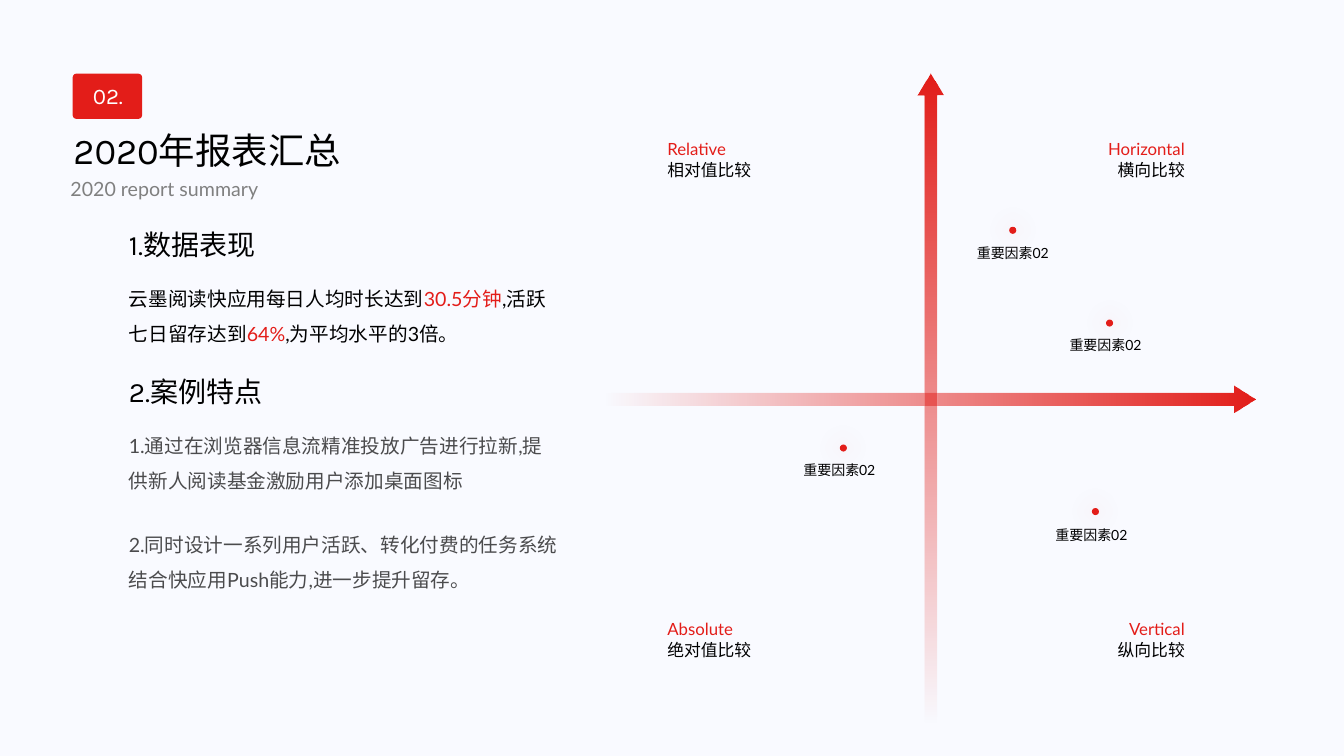
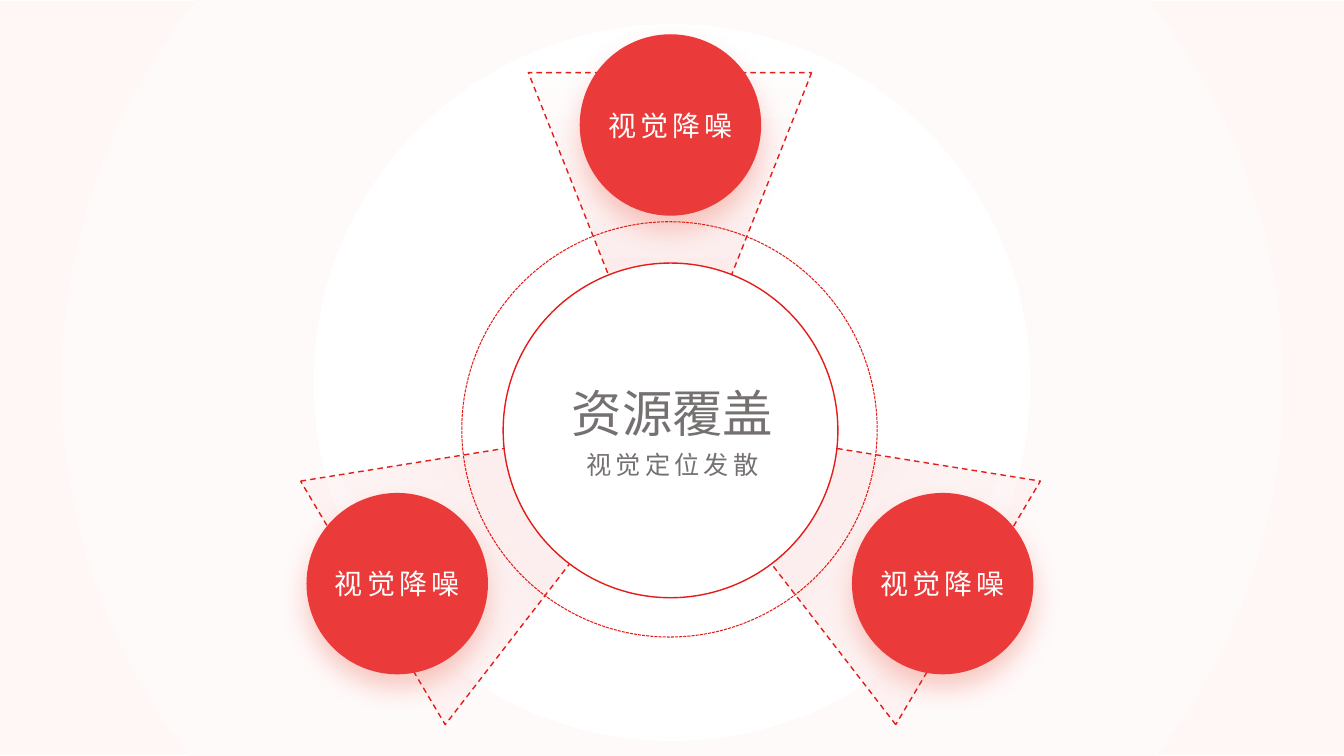
from math import asin, cos, pi, sin

from pptx import Presentation
from pptx.dml.color import RGBColor
from pptx.enum.dml import MSO_LINE
from pptx.enum.shapes import MSO_SHAPE
from pptx.enum.text import MSO_ANCHOR, MSO_AUTO_SIZE, PP_ALIGN
from pptx.oxml import parse_xml
from pptx.oxml.ns import nsdecls, qn
from pptx.util import Inches, Pt

RED = RGBColor(0xE3, 0x1D, 0x19)
CIRCLE_RED = RGBColor(0xEA, 0x3A, 0x3A)
SHADOW_RED = RGBColor(0xE5, 0x3B, 0x21)
PALE = RGBColor(0xF9, 0xFA, 0xFF)
PINK = RGBColor(0xFF, 0xF6, 0xF6)
LIGHT_PINK = RGBColor(0xFF, 0xFA, 0xFA)
WHITE = RGBColor(0xFF, 0xFF, 0xFF)
BLACK = RGBColor(0x00, 0x00, 0x00)
DARK_GRAY = RGBColor(0x4B, 0x4B, 0x4D)
GRAY = RGBColor(0x80, 0x80, 0x80)
WARM_GRAY = RGBColor(0x76, 0x71, 0x71)

HEAD_FONT, BODY_FONT = "Karla", "Lato"
LEFT, CENTER, RIGHT = PP_ALIGN.LEFT, PP_ALIGN.CENTER, PP_ALIGN.RIGHT
SLIDE_W, SLIDE_H = 13.33, 7.5

# place, text, size, font, colour, alignment
HEADINGS = [
    ((0.78, 0.77, 0.58, 0.37), "02.", 16, HEAD_FONT, WHITE, CENTER),
    ((0.63, 1.22, 3.01, 0.54), "2020年报表汇总", 26, HEAD_FONT, BLACK, LEFT),
    ((0.6, 1.71, 2.25, 0.34), "2020 report summary", 14, BODY_FONT, GRAY, LEFT),
    ((1.18, 2.21, 1.55, 0.44), "1.数据表现", 20, HEAD_FONT, BLACK, LEFT),
    ((1.18, 3.67, 1.6, 0.44), "2.案例特点", 20, HEAD_FONT, BLACK, LEFT),
]
# top, width, runs
BODY_TEXTS = [
    (2.68, 4.35, [("云墨阅读快应用每日人均时长达到", BLACK), ("30.5分钟", RED),
                  (",活跃七日留存达到", BLACK), ("64%", RED),
                  (",为平均水平的3倍。", BLACK)]),
    (4.14, 4.47, [("1.通过在浏览器信息流精准投放广告进行拉新,"
                   "提供新人阅读基金激励用户添加桌面图标", DARK_GRAY)]),
    (5.12, 4.47, [("2.同时设计一系列用户活跃、转化付费的任务系统"
                   "结合快应用Push能力,进一步提升留存。", DARK_GRAY)]),
]
# left, top, English, Chinese, alignment
QUADRANTS = [
    (6.52, 1.33, "Relative", "相对值比较", LEFT),
    (10.54, 1.33, "Horizontal", "横向比较", RIGHT),
    (6.52, 6.09, "Absolute", "绝对值比较", LEFT),
    (10.54, 6.09, "Vertical", "纵向比较", RIGHT),
]
LABEL_W = 1.31
FACTOR = "重要因素02"
# left and top of the dot, left and top of its label
FACTORS = [
    ((10.01, 2.25), (9.39, 2.38)),
    ((10.97, 3.17), (10.31, 3.29)),
    ((8.33, 4.41), (7.67, 4.53)),
    ((10.83, 5.04), (10.17, 5.17)),
]
# left and top of the triangle, its rotation, left and top of the circle
SPOKE_LABEL = "视觉降噪"
SPOKES = [
    ((6.67, 3.3), 300.7, (8.45, 4.89)),
    ((3.82, 3.3), 59.3, (3.04, 4.89)),
    ((5.24, 0.72), 180, (5.75, 0.34)),
]


def new_page(deck, color):
    page = deck.slides.add_slide(deck.slide_layouts[6])
    page.background.fill.solid()
    page.background.fill.fore_color.rgb = color
    return page


def add_runs(para, runs, size, font, spacing=0):
    for text, color in runs:
        span = para.add_run()
        span.text = text
        span.font.size = Pt(size)
        span.font.name = font
        span.font.color.rgb = color
        properties = span.font._element
        properties.append(parse_xml(f'<a:ea {nsdecls("a")} typeface="{font}"/>'))
        if spacing:
            properties.set("spc", str(spacing * 100))


def add_text(page, place, runs, size, font=BODY_FONT, align=LEFT, wrap=True,
             line_spacing=None, spacing=0):
    box = page.shapes.add_textbox(*map(Inches, place))
    frame = box.text_frame
    frame.word_wrap = wrap
    frame.auto_size = MSO_AUTO_SIZE.SHAPE_TO_FIT_TEXT
    para = frame.paragraphs[0]
    para.alignment = align
    if line_spacing:
        para.line_spacing = line_spacing
    add_runs(para, runs, size, font, spacing)


def style(shape, fill=None, line=None, width=1, dash=None):
    shape.shadow.inherit = False
    if fill is not None:
        shape.fill.solid()
        shape.fill.fore_color.rgb = fill
    if line is None:
        shape.line.fill.background()
    else:
        shape.line.color.rgb = line
        shape.line.width = Pt(width)
        if dash:
            shape.line.dash_style = dash
    return shape


def add_preset(page, kind, place, **look):
    return style(page.shapes.add_shape(kind, *map(Inches, place)), **look)


def add_outline(page, points, **look):
    start, *rest = [(Inches(x), Inches(y)) for x, y in points]
    builder = page.shapes.build_freeform(*start)
    builder.add_line_segments(rest, close=True)
    return style(builder.convert_to_shape(), **look)


def fade(shape, stops, angle):
    """Fill with red at (position, opacity) stops, both in percent."""
    shape.fill.gradient()
    stop_xml = "".join(
        f'<a:gs pos="{position * 1000}"><a:srgbClr val="{RED}">'
        f'<a:alpha val="{opacity * 1000}"/></a:srgbClr></a:gs>'
        for position, opacity in stops)
    properties = shape._element.spPr
    properties.replace(properties.find(qn("a:gradFill")), parse_xml(
        f'<a:gradFill {nsdecls("a")} rotWithShape="1"><a:gsLst>{stop_xml}</a:gsLst>'
        f'<a:lin ang="{angle * 60000}" scaled="0"/></a:gradFill>'))


def add_glow(shape, color, opacity, blur, distance, angle):
    effects = shape._element.spPr.find(qn("a:effectLst"))
    effects.append(parse_xml(
        f'<a:outerShdw {nsdecls("a")} blurRad="{Pt(blur)}" dist="{Pt(distance)}" '
        f'dir="{angle * 60000}" algn="ctr" rotWithShape="0"><a:srgbClr val="{color}">'
        f'<a:alpha val="{opacity * 1000}"/></a:srgbClr></a:outerShdw>'))


def arrow_profile(length=6.47, head=0.22, shaft_half=0.06, head_half=0.13):
    """Return (along, across) points of an arrow that starts at zero."""
    neck = length - head
    return [(neck, -head_half), (length, 0), (neck, head_half), (neck, shaft_half),
            (0, shaft_half), (0, -shaft_half), (neck, -shaft_half)]


def clipped_circle(center_x, center_y, radius, steps=60):
    """Return the points of a circle cut off at the slide's top and bottom."""
    top = asin(-center_y / radius)
    bottom = asin((SLIDE_H - center_y) / radius)
    angles = [top + (bottom - top) * step / steps for step in range(steps + 1)]
    angles += [pi - angle for angle in reversed(angles)]
    return [(center_x + radius * cos(a), center_y + radius * sin(a)) for a in angles]


def build_matrix(deck):
    page = new_page(deck, PALE)
    badge = add_preset(page, MSO_SHAPE.ROUNDED_RECTANGLE, (0.72, 0.73, 0.69, 0.45), fill=RED)
    badge.adjustments[0] = 0.09
    for place, text, size, font, color, align in HEADINGS:
        add_text(page, place, [(text, color)], size, font, align, wrap=False)
    for top, width, runs in BODY_TEXTS:
        add_text(page, (1.18, top, width, 0.78), runs, 14, line_spacing=1.5)

    profile = arrow_profile()
    across_arrow = [(5.98 + along, 3.96 + across) for along, across in profile]
    up_arrow = [(9.23 + across, 7.2 - along) for along, across in profile]
    for points, angle in ((across_arrow, 0), (up_arrow, 270)):
        fade(add_outline(page, points), [(0, 0), (100, 100)], angle)

    for left, top, english, chinese, align in QUADRANTS:
        for offset, text, color in ((0, english, RED), (0.21, chinese, BLACK)):
            add_text(page, (left, top + offset, LABEL_W, 0.3), [(text, color)], 12, align=align)
    for dot_at, label_at in FACTORS:
        add_text(page, (*label_at, LABEL_W, 0.27), [(FACTOR, BLACK)], 10, align=CENTER)
        dot = add_preset(page, MSO_SHAPE.OVAL, (*dot_at, 0.07, 0.07), fill=RED)
        add_glow(dot, RED, 40, 20, 0, 0)


def build_hub(deck):
    page = new_page(deck, WHITE)
    add_preset(page, MSO_SHAPE.RECTANGLE, (0, 0.01, SLIDE_W, 7.48), fill=PINK)
    add_outline(page, clipped_circle(6.67, 3.8, 6.06), fill=LIGHT_PINK)
    add_preset(page, MSO_SHAPE.OVAL, (3.11, 0.24, 7.11, 7.11), fill=WHITE)
    add_preset(page, MSO_SHAPE.OVAL, (4.58, 2.2, 4.12, 4.12), fill=WHITE, line=RED,
               width=0.75, dash=MSO_LINE.SQUARE_DOT)
    for triangle_at, rotation, _ in SPOKES:
        triangle = add_preset(page, MSO_SHAPE.ISOSCELES_TRIANGLE, (*triangle_at, 2.81, 3.55),
                              line=RED, dash=MSO_LINE.DASH)
        triangle.rotation = rotation
        fade(triangle, [(29, 10), (100, 0)], 90)
    add_preset(page, MSO_SHAPE.OVAL, (4.99, 2.61, 3.32, 3.32), fill=WHITE, line=RED)

    for _, _, circle_at in SPOKES:
        circle = add_preset(page, MSO_SHAPE.OVAL, (*circle_at, 1.8, 1.8), fill=CIRCLE_RED)
        add_glow(circle, SHADOW_RED, 26, 19, 10, 90)
        frame = circle.text_frame
        frame.word_wrap = False
        frame.vertical_anchor = MSO_ANCHOR.MIDDLE
        frame.margin_left = frame.margin_right = 0
        para = frame.paragraphs[0]
        para.alignment = CENTER
        add_runs(para, [(SPOKE_LABEL, WHITE)], 20, BODY_FONT, spacing=3)

    add_text(page, (5.29, 3.74, 2.76, 0.71), [("资源覆盖", WARM_GRAY)], 36, HEAD_FONT, CENTER)
    add_text(page, (5.29, 4.41, 2.76, 0.4), [("视觉定位发散", WARM_GRAY)], 18,
             align=CENTER, spacing=3)


def main():
    deck = Presentation()
    deck.slide_width, deck.slide_height = Inches(SLIDE_W), Inches(SLIDE_H)
    build_matrix(deck)
    build_hub(deck)
    deck.save("out.pptx")


if __name__ == "__main__":
    main()
